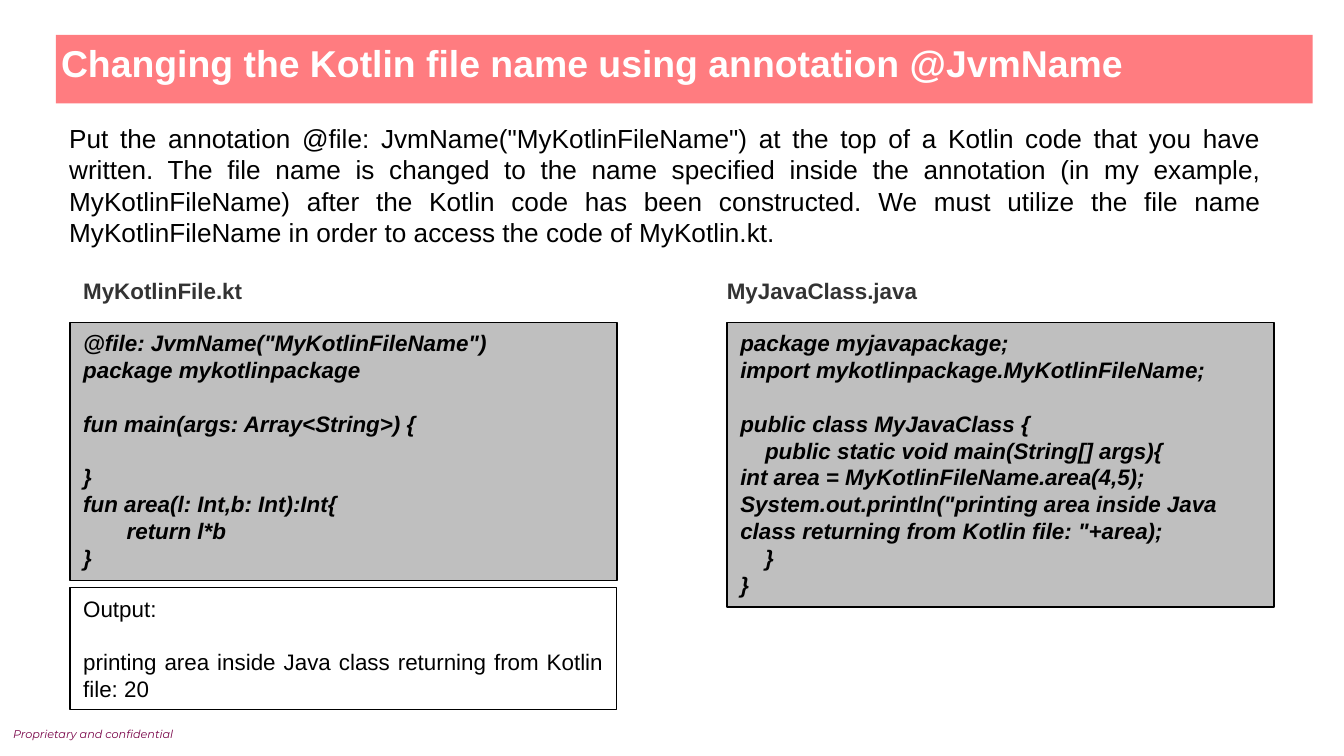
from pptx import Presentation
from pptx.dml.color import RGBColor
from pptx.enum.shapes import MSO_SHAPE
from pptx.enum.text import MSO_ANCHOR, MSO_AUTO_SIZE, PP_ALIGN
from pptx.util import Pt

BLACK = RGBColor(0, 0, 0)
WHITE = RGBColor(255, 255, 255)
CORAL = RGBColor(0xFF, 0x7C, 0x80)
GREY = RGBColor(0xBF, 0xBF, 0xBF)
CHARCOAL = RGBColor(0x33, 0x33, 0x33)
PLUM = RGBColor(0x77, 0x00, 0x46)

RECT = MSO_SHAPE.RECTANGLE
TOP, MIDDLE = MSO_ANCHOR.TOP, MSO_ANCHOR.MIDDLE
LEFT, JUSTIFY = PP_ALIGN.LEFT, PP_ALIGN.JUSTIFY
FIXED = MSO_AUTO_SIZE.NONE

LINE_GAP = 14.4
COLUMN_W = 293
LEFT_X, RIGHT_X = 37.5, 389.5
LABEL_Y, CODE_Y = 144.7, 172.8

TITLE_FONT = dict(size=Pt(20), bold=True)
BODY_FONT = dict(size=Pt(14))
LABEL_FONT = dict(size=Pt(12), bold=True)
CODE_FONT = dict(size=Pt(12), bold=True, italic=True)
OUTPUT_FONT = dict(size=Pt(12))
FOOTER_FONT = dict(size=Pt(6), italic=True, name="Montserrat")

INTRO = (
    'Put the annotation @file: JvmName("MyKotlinFileName") at the top of a Kotlin code '
    "that you have written. The file name is changed to the name specified inside the "
    "annotation (in my example, MyKotlinFileName) after the Kotlin code has been "
    "constructed. We must utilize the file name MyKotlinFileName in order to access "
    "the code of MyKotlin.kt."
)

# Each line: text, points of indent, blank lines above
KOTLIN_CODE = [
    ('@file: JvmName("MyKotlinFileName")', 0, 0),
    ("package mykotlinpackage", 0, 0),
    ("fun main(args: Array<String>) {", 0, 1),
    ("}", 0, 1),
    ("fun area(l: Int,b: Int):Int{", 0, 0),
    ("return l*b", 23.3, 0),
    ("}", 0, 0),
]
JAVA_CODE = [
    ("package myjavapackage;", 0, 0),
    ("import mykotlinpackage.MyKotlinFileName;", 0, 0),
    ("public class MyJavaClass {", 0, 1),
    ("public static void main(String[] args){", 13.3, 0),
    ("int area = MyKotlinFileName.area(4,5);", 0, 0),
    ('System.out.println("printing area inside Java class returning from Kotlin file: "+area);', 0, 0),
    ("}", 13.3, 0),
    ("}", 0, 0),
]
OUTPUT = [
    ("Output:", 0, 0),
    ("printing area inside Java class returning from Kotlin file: 20", 0, 1),
]


class SlideBuilder:
    def __init__(self, prs):
        self.s = prs.slides.add_slide(prs.slide_layouts[5])

    def fill_text(self, sp, lines, font, color, align=LEFT, anchor=TOP, insets=(7.2, 3.6)):
        tf = sp.text_frame
        frame = dict(word_wrap=True, auto_size=FIXED, vertical_anchor=anchor,
                     margin_left=Pt(insets[0]), margin_right=Pt(insets[0]),
                     margin_top=Pt(insets[1]), margin_bottom=Pt(insets[1]))
        for key, value in frame.items():
            setattr(tf, key, value)
        for i, (text, indent, blanks) in enumerate(lines):
            p = tf.add_paragraph() if i else tf.paragraphs[0]
            p.alignment = align
            p.space_before = Pt(blanks * LINE_GAP)
            if indent:
                p._p.get_or_add_pPr().set("marL", str(Pt(indent)))
            r = p.add_run()
            r.text = text
            for key, value in {"name": "Arial", **font}.items():
                setattr(r.font, key, value)
            r.font.color.rgb = color

    def title(self, text, x, y, w, h):
        sp = self.s.shapes.title
        box = dict(left=Pt(x), top=Pt(y), width=Pt(w), height=Pt(h))
        for key, value in box.items():
            setattr(sp, key, value)
        sp.fill.solid()
        sp.fill.fore_color.rgb = CORAL
        self.fill_text(sp, [(text, 0, 0)], TITLE_FONT, WHITE, JUSTIFY, insets=(2.7, 2.7))

    def text(self, text, x, y, w, h, font, color, **layout):
        sp = self.s.shapes.add_textbox(Pt(x), Pt(y), Pt(w), Pt(h))
        self.fill_text(sp, [(text, 0, 0)], font, color, **layout)

    def panel(self, lines, x, y, h, fill, line_w, font, **layout):
        sp = self.s.shapes.add_shape(RECT, Pt(x), Pt(y), Pt(COLUMN_W), Pt(h))
        sp.shadow.inherit = False
        sp.fill.solid()
        sp.fill.fore_color.rgb = fill
        sp.line.color.rgb = BLACK
        sp.line.width = Pt(line_w)
        self.fill_text(sp, lines, font, BLACK, **layout)


def main():
    prs = Presentation()
    prs.slide_width, prs.slide_height = Pt(720), Pt(405)
    b = SlideBuilder(prs)
    b.text("Proprietary and confidential", 0, 382.3, 131.8, 21.6,
           FOOTER_FONT, PLUM, insets=(7.2, 7.2))
    b.text(INTRO, 30, 62, 653, 75, BODY_FONT, BLACK, align=JUSTIFY)
    b.title("Changing the Kotlin file name using annotation @JvmName", 30, 18.7, 673.2, 36.7)
    columns = [
        ("MyKotlinFile.kt", KOTLIN_CODE, LEFT_X, LEFT_X, 138.2),
        ("MyJavaClass.java", JAVA_CODE, RIGHT_X, RIGHT_X - 7.2, 152.6),
    ]
    for name, code, x, label_x, h in columns:
        b.panel(code, x, CODE_Y, h, GREY, 1, CODE_FONT)
        b.text(name, label_x, LABEL_Y, 141, 21.6, LABEL_FONT, CHARCOAL)
    b.panel(OUTPUT, LEFT_X, 314.6, 65.5, WHITE, 0.75, OUTPUT_FONT,
            align=JUSTIFY, anchor=MIDDLE)
    prs.save("out.pptx")


if __name__ == "__main__":
    main()
